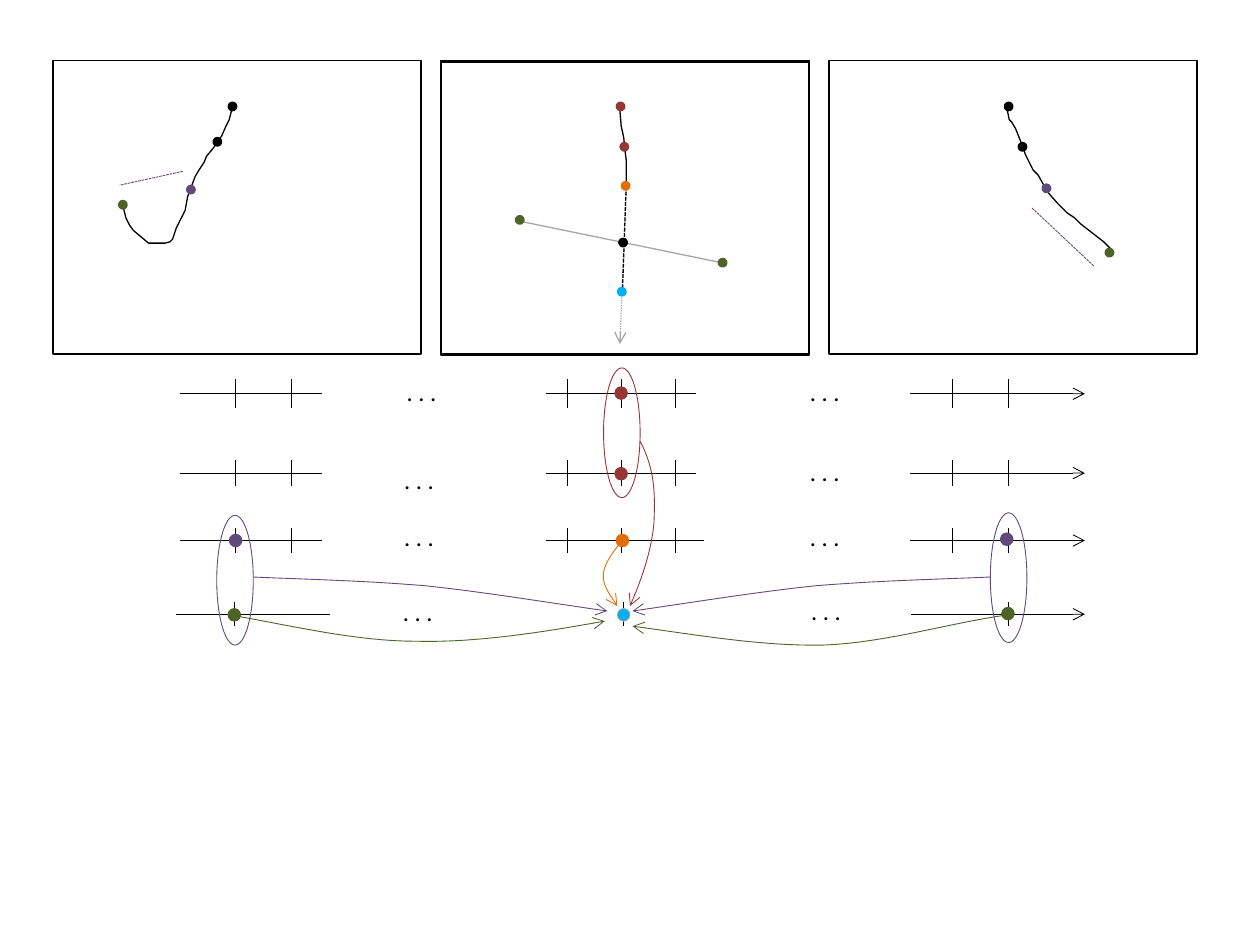
from lxml.etree import SubElement
from pptx import Presentation
from pptx.dml.color import RGBColor
from pptx.enum.dml import MSO_LINE
from pptx.enum.shapes import MSO_CONNECTOR, MSO_SHAPE
from pptx.enum.text import MSO_AUTO_SIZE
from pptx.oxml.ns import qn
from pptx.util import Inches, Pt

BLACK, WHITE, GRAY = "000000", "FFFFFF", "A6A6A6"
PURPLE, GREEN, RED = "604A7B", "4F6228", "953735"
ORANGE, BLUE = "E46C0A", "00B0F0"
PANEL_WIDTH, PANEL_HEIGHT = 2.92, 2.33


def rgb(color):
    """Turn a hex string into a colour."""
    return RGBColor.from_string(color)


def style_line(shape, color, width, dash=None, arrow=False):
    """Format the outline of a shape or connector."""
    shape.line.color.rgb = rgb(color)
    shape.line.width = Pt(width)
    if dash:
        shape.line.dash_style = dash
    if arrow:
        SubElement(shape.get_or_add_ln(), qn("a:tailEnd"), type="arrow")


def add_line(slide, start, end, color=BLACK, width=0.5, **options):
    """Draw a straight line between two points."""
    line = slide.shapes.add_connector(
        MSO_CONNECTOR.STRAIGHT, *map(Inches, (*start, *end)))
    style_line(line, color, width, **options)
    SubElement(line._element.spPr, qn("a:effectLst"))


def add_figure(slide, kind, box, line, fill=None, width=0.5):
    """Draw a preset shape in a box, hollow unless a fill is given."""
    figure = slide.shapes.add_shape(kind, *map(Inches, box))
    figure.shadow.inherit = False
    if fill:
        figure.fill.solid()
        figure.fill.fore_color.rgb = rgb(fill)
    else:
        figure.fill.background()
    style_line(figure, line, width)


def add_text(slide, text, box, size=14, font="Calibri", color=BLACK):
    """Place a line of text that does not wrap."""
    label = slide.shapes.add_textbox(*map(Inches, box))
    frame = label.text_frame
    frame.word_wrap = False
    frame.auto_size = MSO_AUTO_SIZE.SHAPE_TO_FIT_TEXT
    run = frame.paragraphs[0].add_run()
    run.text = text
    run.font.size = Pt(size)
    run.font.name = font
    run.font.color.rgb = rgb(color)


def add_path(slide, points, color=BLACK, width=0.75, arrow=False):
    """Draw an open outline through the points."""
    start, *rest = [(Inches(x), Inches(y)) for x, y in points]
    builder = slide.shapes.build_freeform(*start)
    builder.add_line_segments(rest, close=False)
    path = builder.convert_to_shape()
    path.shadow.inherit = False
    path.fill.background()
    style_line(path, color, width, arrow=arrow)


def bezier(controls, steps=16):
    """Return points along a chain of cubic curves."""
    points = [controls[0]]
    for first in range(0, len(controls) - 1, 3):
        quad = controls[first:first + 4]
        for step in range(1, steps + 1):
            t = step / steps
            weights = ((1 - t) ** 3, 3 * t * (1 - t) ** 2, 3 * t * t * (1 - t), t ** 3)
            points.append(tuple(
                sum(w * point[axis] for w, point in zip(weights, quad)) for axis in (0, 1)))
    return points


def add_panel(slide, left, top, trail, dots, lines):
    """Draw a framed view with its lines, trail and dots."""
    def place(x, y):
        return left + x, top + y

    for start, end, options in lines:
        add_line(slide, place(*start), place(*end), **options)
    add_figure(slide, MSO_SHAPE.RECTANGLE, (left, top, PANEL_WIDTH, PANEL_HEIGHT),
               BLACK, width=1)
    add_path(slide, [place(*point) for point in trail])
    for x, y, color in dots:
        add_figure(slide, MSO_SHAPE.OVAL, (*place(x, y), 0.05, 0.05), color, color, 2)


def add_timeline(slide, left, top, height, axes, ticks, gaps, ellipses):
    """Draw a time axis with ticks, masked gaps and ellipses."""
    axis = top + height / 2
    for start, end, arrow in axes:
        add_line(slide, (left + start, axis), (left + end, axis), arrow=arrow)
    for tick in ticks:
        add_line(slide, (left + tick, top), (left + tick, top + height))
    for start, width in gaps:
        add_figure(slide, MSO_SHAPE.RECTANGLE,
                   (left + start, top - 0.01, width, height + 0.01), WHITE, WHITE, 2)
    for x, y in ellipses:
        add_text(slide, ". . .", (left + x, top + y, 0.46, height))


def add_links(slide, left, top, nodes, links, rings):
    """Connect the timelines with curved arrows, nodes and rings."""
    for color, controls in links:
        curve = [(left + x, top + y) for x, y in bezier(controls)]
        add_path(slide, curve, color, 0.5, arrow=True)
    for x, y, fill, line in nodes:
        add_figure(slide, MSO_SHAPE.OVAL, (left + x, top + y, 0.1, 0.1), line, fill)
    for x, y, color in rings:
        add_figure(slide, MSO_SHAPE.OVAL, (left + x, top + y, 0.29, 1.03), color)


def add_panels(slide, left, top, pitch):
    """Draw the three views side by side."""
    dashed = {"color": PURPLE, "dash": MSO_LINE.SQUARE_DOT}
    left_trail = [
        (1.42, 0.39), (1.4, 0.47), (1.37, 0.53), (1.34, 0.6), (1.27, 0.7), (1.22, 0.76),
        (1.2, 0.81), (1.16, 0.87), (1.13, 0.92), (1.1, 1), (1.07, 1.08), (1.05, 1.19),
        (1.01, 1.27), (0.98, 1.33), (0.95, 1.42), (0.93, 1.44), (0.89, 1.45), (0.76, 1.45),
        (0.7, 1.4), (0.64, 1.35), (0.61, 1.31), (0.58, 1.25), (0.56, 1.17)]
    middle_trail = [
        (1.42, 0.4), (1.43, 0.52), (1.45, 0.61), (1.46, 0.71), (1.47, 0.79),
        (1.47, 1), (1.45, 1.02)]
    right_trail = [
        (1.41, 0.37), (1.43, 0.47), (1.45, 0.49), (1.48, 0.54), (1.52, 0.64), (1.56, 0.75),
        (1.62, 0.87), (1.66, 0.91), (1.71, 1), (1.74, 1.05), (1.81, 1.13), (1.89, 1.21),
        (1.95, 1.25), (2, 1.3), (2.09, 1.37), (2.18, 1.44), (2.24, 1.5)]
    views = [
        (left_trail,
         [(1.4, 0.34, BLACK), (1.28, 0.62, BLACK), (1.07, 1, PURPLE), (0.53, 1.12, GREEN)],
         [((1.03, 0.88), (0.53, 0.99), dashed)]),
        (middle_trail,
         [(1.4, 0.34, RED), (1.43, 0.66, RED), (1.44, 0.97, ORANGE), (1.42, 1.42, BLACK),
          (1.41, 1.81, BLUE), (0.6, 1.24, GREEN), (2.21, 1.58, GREEN)],
         [((0.6, 1.27), (2.25, 1.61), {"color": GRAY, "width": 0.75}),
          ((1.47, 1), (1.42, 2.25), {"color": GRAY, "width": 0.75,
                                     "dash": MSO_LINE.ROUND_DOT, "arrow": True}),
          ((1.47, 1), (1.44, 1.84), {"width": 0.75, "dash": MSO_LINE.SQUARE_DOT})]),
        (right_trail,
         [(1.4, 0.34, BLACK), (1.51, 0.66, BLACK), (1.7, 0.99, PURPLE), (2.2, 1.5, GREEN)],
         [((1.61, 1.17), (2.1, 1.63), dashed)]),
    ]
    for column, view in enumerate(views):
        add_panel(slide, left + column * pitch, top, *view)
    add_figure(slide, MSO_SHAPE.RECTANGLE,
               (left + pitch, top + 0.01, PANEL_WIDTH, PANEL_HEIGHT), BLACK, width=1)


def add_timelines(slide, left):
    """Draw the four time axes below the views."""
    axis = [(0.03, 7.21, True)]
    ticks = [0.47, 0.91, 3.1, 3.53, 3.96, 6.16, 6.6]
    gaps = [(1.17, 1.75), (4.14, 1.67)]
    rows = [
        (3.01, 0.23, axis, ticks, gaps, [(1.73, -0.07), (4.93, -0.07)]),
        (3.65, 0.21, axis, ticks, gaps, [(1.71, -0.01), (4.93, -0.07)]),
        (4.19, 0.2, axis, ticks, [gaps[0], (4.2, 1.61)], [(1.71, -0.1), (4.93, -0.1)]),
        (4.78, 0.19, [(0, 1.22, False), (4.69, 7.21, True)], [0.46, 3.55, 6.6],
         [(1.3, 1.3), (4.52, 1.3)], [(1.7, -0.09), (4.94, -0.1)]),
    ]
    for row in rows:
        add_timeline(slide, left, *row)


def main():
    """Build and save the slide."""
    deck = Presentation()
    deck.slide_width, deck.slide_height = Inches(10), Inches(7.5)
    slide = deck.slides.add_slide(deck.slide_layouts[6])
    add_panels(slide, 0.42, 0.48, 3.08)
    add_timelines(slide, 1.4)
    links = [
        (GREEN, [(0.48, 1.97), (0.93, 2.05), (1.43, 2.17), (1.91, 2.17),
                 (2.4, 2.18), (2.89, 2.1), (3.4, 2.01)]),
        (GREEN, [(6.6, 1.96), (6.15, 2.02), (5.64, 2.18), (5.14, 2.2),
                 (4.64, 2.21), (4.14, 2.12), (3.62, 2.05)]),
        (ORANGE, [(3.54, 1.37), (3.49, 1.43), (3.39, 1.55), (3.39, 1.64),
                  (3.38, 1.72), (3.44, 1.8), (3.5, 1.89)]),
        (PURPLE, [(0.61, 1.66), (1.06, 1.68), (1.52, 1.69), (1.98, 1.73),
                  (2.45, 1.78), (2.93, 1.86), (3.42, 1.93)]),
        (PURPLE, [(6.46, 1.66), (6, 1.68), (5.54, 1.69), (5.07, 1.73),
                  (4.59, 1.78), (4.11, 1.86), (3.62, 1.93)]),
        (RED, [(3.68, 0.58), (3.8, 0.81), (3.8, 1.01), (3.79, 1.23),
               (3.77, 1.45), (3.7, 1.66), (3.6, 1.89)]),
    ]
    nodes = [
        (3.48, 0.15, RED, RED), (3.48, 0.79, RED, RED), (3.49, 1.32, ORANGE, ORANGE),
        (0.42, 1.32, PURPLE, PURPLE), (0.41, 1.91, GREEN, GREEN),
        (6.54, 1.31, PURPLE, PURPLE), (6.55, 1.9, GREEN, GREEN), (3.5, 1.91, BLUE, GRAY)]
    rings = [(0.32, 1.17, PURPLE), (6.46, 1.15, PURPLE), (3.39, 0, RED)]
    add_links(slide, 1.4, 2.92, nodes, links, rings)
    deck.save("out.pptx")


if __name__ == "__main__":
    main()
